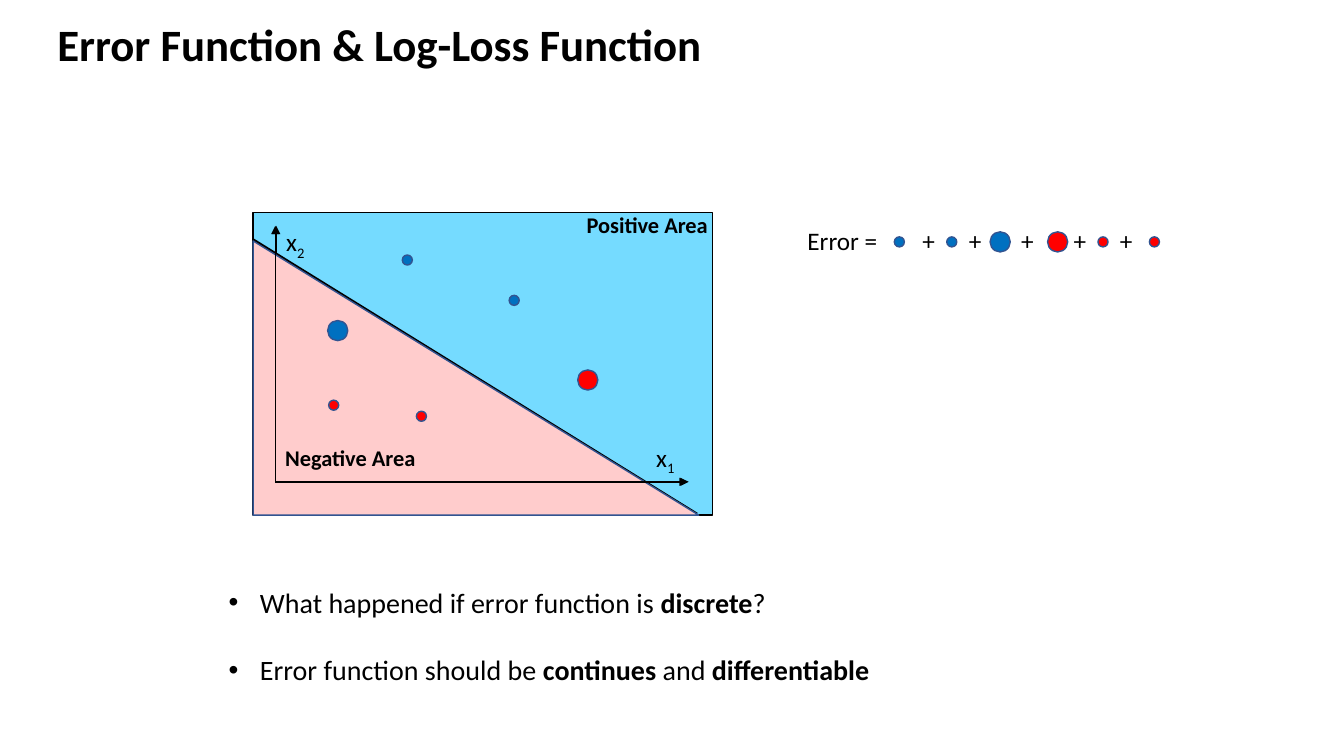
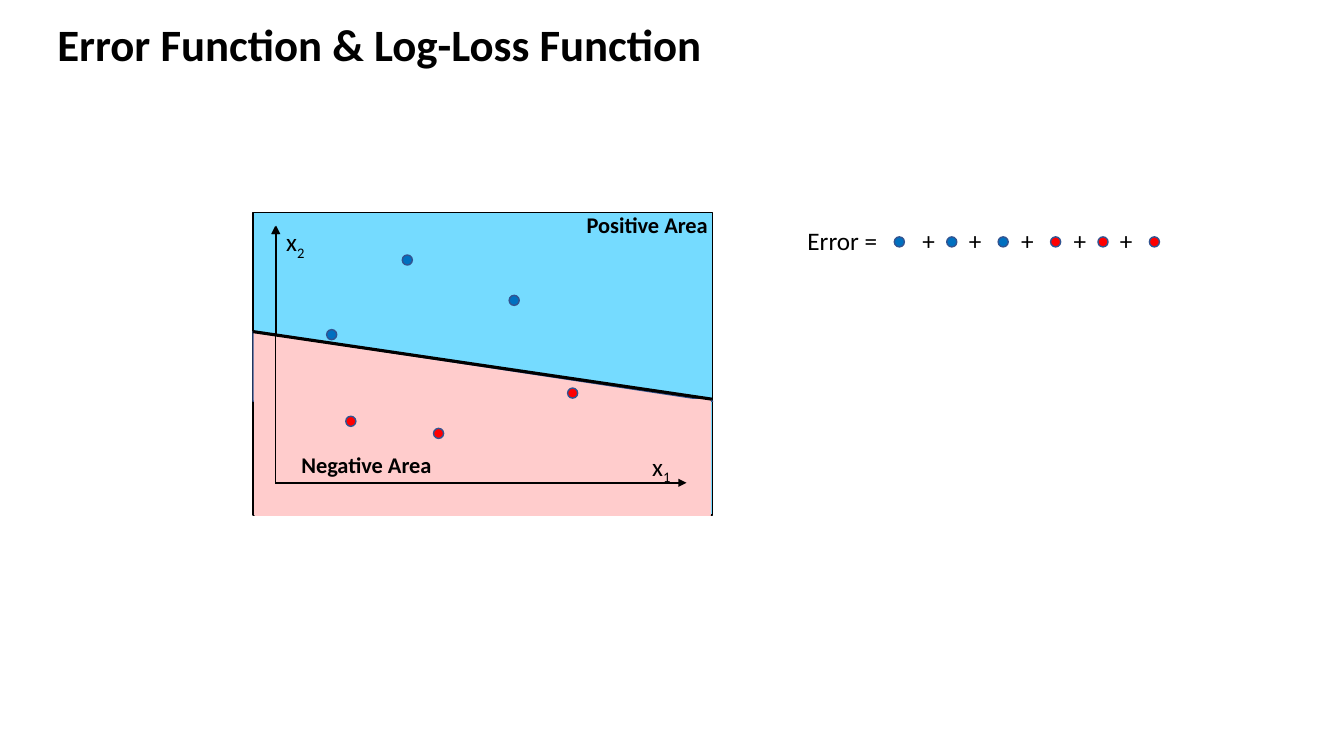
from dataclasses import dataclass
from typing import NamedTuple

from lxml.etree import SubElement
from pptx import Presentation
from pptx.dml.color import RGBColor
from pptx.enum.shapes import MSO_CONNECTOR, MSO_SHAPE
from pptx.enum.text import MSO_AUTO_SIZE
from pptx.oxml.ns import qn
from pptx.slide import Slide
from pptx.text.text import _Paragraph as Paragraph
from pptx.util import Inches, Pt


@dataclass(frozen=True)
class Theme:
    font: str = "Calibri"
    black: str = "000000"
    positive: str = "75DBFF"
    negative: str = "FFCCCC"
    blue: str = "0070C0"
    red: str = "FF0000"
    outline: str = "325491"
    title: int = 32
    bullet: int = 20
    label: int = 18
    area: int = 16
    thin: float = 1
    thick: float = 2.25


THEME = Theme()


class Part(NamedTuple):
    text: str
    bold: bool = False
    subscript: bool = False


class Dot(NamedTuple):
    x: float
    y: float
    color: str
    size: float = 0.1


class Box(NamedTuple):
    left: float
    top: float
    width: float
    height: float


class Segment(NamedTuple):
    x1: float
    y1: float
    x2: float
    y2: float


PLOT = Box(2.51, 2.11, 4.56, 3)
TERM_Y = 2.4
PLUS_XS = (9.21, 9.67, 10.19, 10.71, 11.17)
TITLE = "Error Function & Log-Loss Function"
BULLETS = (
    (Part("What happened if error function is "), Part("discrete", True), Part("?")),
    (Part("Error function should be "), Part("continues", True), Part(" and "),
     Part("differentiable", True)),
)


def write(p: Paragraph, parts: tuple[Part, ...], size: float) -> None:
    p.text = parts[0].text
    for part in parts[1:]:
        p.add_run().text = part.text
    for r, part in zip(p.runs, parts):
        r.font.name = THEME.font
        r.font.size = Pt(size)
        r.font.bold = part.bold
        r.font.color.rgb = RGBColor.from_string(THEME.black)
        if part.subscript:
            r._r.get_or_add_rPr().set("baseline", "-25000")


def add_text(s: Slide, box: Box, lines: tuple[tuple[Part, ...], ...], size: float) -> list[Paragraph]:
    tf = s.shapes.add_textbox(*map(Inches, box)).text_frame
    tf.word_wrap = False
    tf.auto_size = MSO_AUTO_SIZE.SHAPE_TO_FIT_TEXT
    for i, parts in enumerate(lines):
        write(tf.add_paragraph() if i else tf.paragraphs[0], parts, size)
    return list(tf.paragraphs)


def add_shape(s: Slide, kind: MSO_SHAPE, box: Box, fill: str, line: str) -> None:
    sp = s.shapes.add_shape(kind, *map(Inches, box))
    sp.shadow.inherit = False
    sp.fill.solid()
    sp.fill.fore_color.rgb = RGBColor.from_string(fill)
    sp.line.color.rgb = RGBColor.from_string(line)
    sp.line.width = Pt(THEME.thin)


def add_line(s: Slide, segment: Segment, width: float, arrow: bool = False) -> None:
    sp = s.shapes.add_connector(MSO_CONNECTOR.STRAIGHT, *map(Inches, segment))
    sp.line.color.rgb = RGBColor.from_string(THEME.black)
    sp.line.width = Pt(width)
    if arrow:
        SubElement(sp.line._get_or_add_ln(), qn("a:tailEnd"), type="triangle")
    SubElement(sp._element.spPr, qn("a:effectLst"))


def add_dot(s: Slide, dot: Dot) -> None:
    box = Box(dot.x - dot.size / 2, dot.y - dot.size / 2, dot.size, dot.size)
    add_shape(s, MSO_SHAPE.FLOWCHART_CONNECTOR, box, dot.color, THEME.outline)


def add_axis_label(s: Slide, left: float, top: float, index: str) -> None:
    add_text(s, Box(left, top, 0.4, 0.4), ((Part("x"), Part(index, subscript=True)),), THEME.label)


def add_area_label(s: Slide, box: Box, text: str) -> None:
    add_text(s, box, ((Part(text, True),),), THEME.area)


def add_bullets(s: Slide) -> None:
    for p in add_text(s, Box(2.17, 5.76, 6.63, 1.11), BULLETS, THEME.bullet):
        p.space_before = p.space_after = Pt(12)
        pPr = p._p.get_or_add_pPr()
        pPr.set("marL", str(Inches(0.31)))
        pPr.set("indent", str(-Inches(0.31)))
        SubElement(pPr, qn("a:buFont"), typeface="Arial")
        SubElement(pPr, qn("a:buChar"), char="•")


def add_error_sum(s: Slide, terms: tuple[Dot, ...]) -> None:
    add_text(s, Box(7.91, 2.19, 0.89, 0.4), ((Part("Error ="),),), THEME.label)
    for x in PLUS_XS:
        add_text(s, Box(x - 0.16, 2.19, 0.32, 0.4), ((Part("+"),),), THEME.label)
    for term in terms:
        add_dot(s, term)


@dataclass(frozen=True)
class Example:
    triangle: Box
    boundary: Segment
    back_axes: tuple[Segment, ...]
    axes: tuple[Segment, ...]
    x1_label: tuple[float, float]
    negative_label: Box
    points: tuple[Dot, ...]
    terms: tuple[Dot, ...]
    lower_area: Box | None = None
    bullets: bool = False


def error_terms(blue_x: float, red_x: float, size: float) -> tuple[Dot, ...]:
    return (
        Dot(8.92, TERM_Y, THEME.blue),
        Dot(9.44, TERM_Y, THEME.blue),
        Dot(blue_x, TERM_Y, THEME.blue, size),
        Dot(red_x, TERM_Y, THEME.red, size),
        Dot(10.94, TERM_Y, THEME.red),
        Dot(11.45, TERM_Y, THEME.red),
    )


CORRECT_BLUE = (Dot(4.04, 2.58, THEME.blue), Dot(5.1, 2.98, THEME.blue))
BACK_VERTICAL = Segment(2.74, 4.78, 2.74, 2.24)
VERTICAL = Segment(2.73, 4.78, 2.73, 2.24)

EXAMPLES = (
    Example(
        triangle=Box(2.51, 2.39, 4.42, 2.72),
        boundary=Segment(2.51, 2.38, 6.91, 5.1),
        back_axes=(BACK_VERTICAL, Segment(2.74, 4.78, 6.83, 4.78)),
        axes=(VERTICAL, Segment(2.73, 4.78, 6.82, 4.78)),
        x1_label=(6.41, 4.34),
        negative_label=Box(2.73, 4.36, 1.51, 0.37),
        points=CORRECT_BLUE + (
            Dot(3.35, 3.28, THEME.blue, 0.2),
            Dot(5.83, 3.77, THEME.red, 0.2),
            Dot(4.18, 4.13, THEME.red),
            Dot(3.31, 4.02, THEME.red),
        ),
        terms=error_terms(9.92, 10.49, 0.2),
        bullets=True,
    ),
    Example(
        triangle=Box(2.51, 3.29, 4.56, 0.69),
        boundary=Segment(2.51, 3.29, 7.06, 3.96),
        back_axes=(BACK_VERTICAL,),
        axes=(VERTICAL, Segment(2.73, 4.79, 6.81, 4.79)),
        x1_label=(6.37, 4.43),
        negative_label=Box(2.89, 4.43, 1.51, 0.37),
        points=CORRECT_BLUE + (
            Dot(3.29, 3.32, THEME.blue),
            Dot(5.68, 3.9, THEME.red),
            Dot(4.35, 4.3, THEME.red),
            Dot(3.48, 4.18, THEME.red),
        ),
        terms=error_terms(9.95, 10.47, 0.1),
        lower_area=Box(2.53, 3.97, 4.52, 1.14),
    ),
)


def add_plot(s: Slide, example: Example) -> None:
    add_shape(s, MSO_SHAPE.RECTANGLE, PLOT, THEME.positive, THEME.black)
    for axis in example.back_axes:
        add_line(s, axis, THEME.thin, arrow=True)
    if not example.lower_area:
        add_line(s, example.boundary, THEME.thick)
    add_shape(s, MSO_SHAPE.RIGHT_TRIANGLE, example.triangle, THEME.negative, THEME.outline)
    if example.lower_area:
        add_shape(s, MSO_SHAPE.RECTANGLE, example.lower_area, THEME.negative, THEME.negative)
        add_line(s, example.boundary, THEME.thick)
    add_axis_label(s, 2.74, 2.2, "2")
    add_axis_label(s, *example.x1_label, "1")
    for axis in example.axes:
        add_line(s, axis, THEME.thin, arrow=True)
    add_area_label(s, example.negative_label, "Negative Area")
    add_area_label(s, Box(5.72, 2.05, 1.42, 0.37), "Positive Area")
    for point in example.points:
        add_dot(s, point)


def main() -> None:
    prs = Presentation()
    prs.slide_width, prs.slide_height = Inches(13.33), Inches(7.5)
    for example in EXAMPLES:
        s = prs.slides.add_slide(prs.slide_layouts[6])
        add_text(s, Box(0.47, 0.12, 6.67, 0.64), ((Part(TITLE, True),),), THEME.title)
        add_plot(s, example)
        add_error_sum(s, example.terms)
        if example.bullets:
            add_bullets(s)
    prs.save("out.pptx")


if __name__ == "__main__":
    main()
